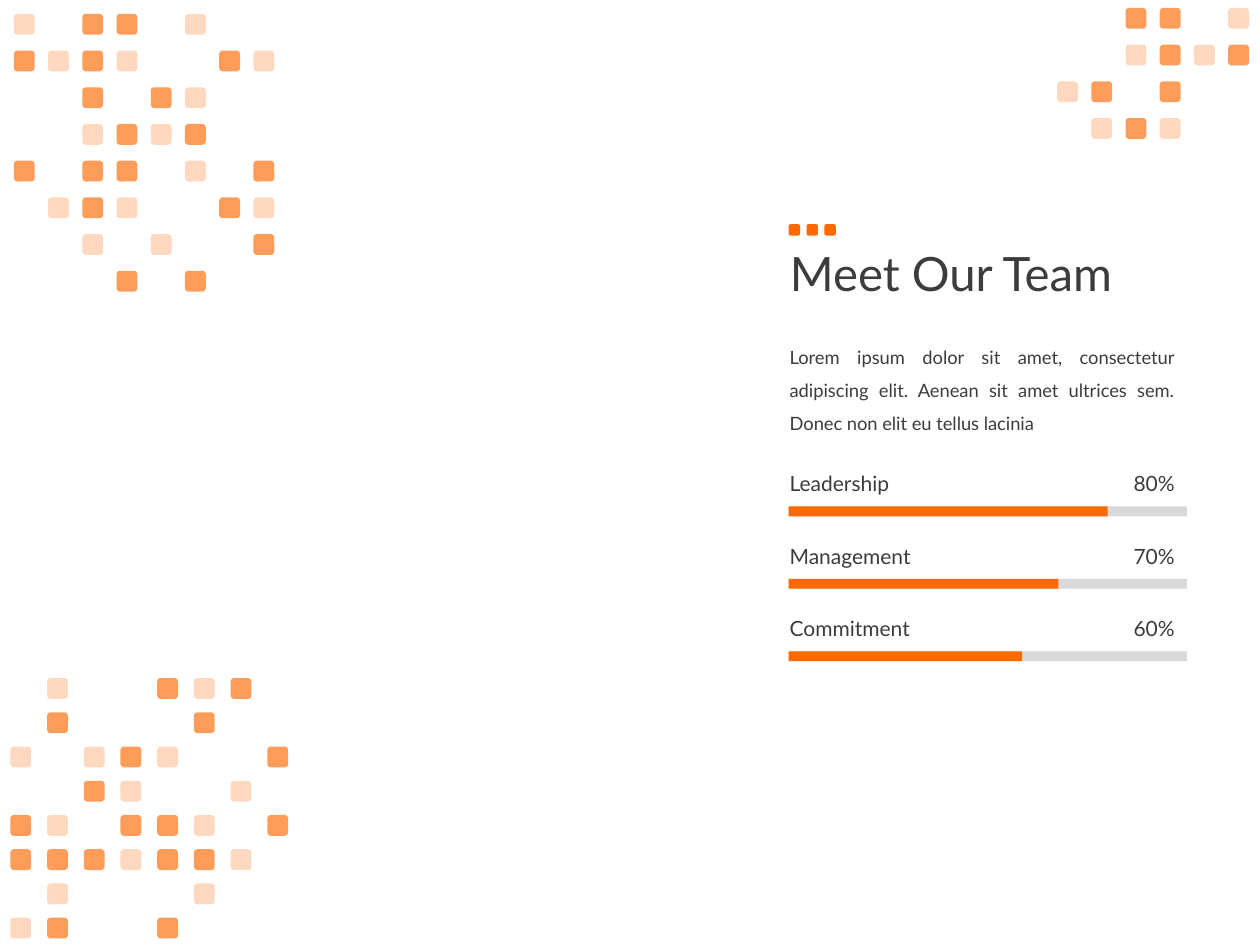
from lxml import etree
from pptx import Presentation
from pptx.dml.color import RGBColor
from pptx.enum.shapes import MSO_SHAPE as Shape
from pptx.enum.text import MSO_ANCHOR as Anchor, PP_ALIGN as Align
from pptx.oxml.ns import qn
from pptx.util import Cm, Pt

COLORS = {"accent": "FE6902", "track": "D9D9D9", "text": "3C3C3C", "page": "FFFFFF"}
FONT = "Lato"
OPACITY = {"#": 65, "o": 25}

TOP_LEFT = [
    "o.##.o..",
    "#o#o..#o",
    "..#.#o..",
    "..o#o#..",
    "#.##.o.#",
    ".o#o..#o",
    "..o.o..#",
    "...#.#..",
]
BOTTOM_LEFT = [
    ".o..#o#.",
    ".#...#..",
    "o.o#o..#",
    "..#o..o.",
    "#o.##o.#",
    "###o##o.",
    ".o...o..",
    "o#..#...",
]
TOP_RIGHT = [
    "..##.o",
    "..o#o#",
    "o#.#..",
    ".o#o..",
]
SKILLS = [("Leadership", "80%", 6.43), ("Management", "70%", 5.44), ("Commitment", "60%", 4.7)]


def add_block(shapes, kind, left, top, width, height, color, opacity=100):
    """Add a flat filled shape, measured in centimetres."""
    block = shapes.add_shape(kind, Cm(left), Cm(top), Cm(width), Cm(height))
    block.shadow.inherit = False
    block.line.fill.background()
    block.fill.solid()
    block.fill.fore_color.rgb = RGBColor.from_string(COLORS[color])
    if opacity < 100:
        tint = block.fill._xPr.find(f".//{qn('a:srgbClr')}")
        etree.SubElement(tint, qn("a:alpha"), val=str(opacity * 1000))
    return block


def write_text(box, text, size, align=Align.LEFT, anchor=Anchor.MIDDLE, spacing=1.0):
    """Fill a box with one formatted paragraph."""
    frame = box.text_frame
    frame.word_wrap = True
    frame.vertical_anchor = anchor
    para = frame.paragraphs[0]
    para.alignment = align
    para.line_spacing = spacing
    span = para.add_run()
    span.text = text
    span.font.size = Pt(size)
    span.font.name = FONT
    span.font.color.rgb = RGBColor.from_string(COLORS["text"])


def add_text(page, left, top, width, height, text, size, **layout):
    """Add a text box, measured in centimetres."""
    box = page.shapes.add_textbox(Cm(left), Cm(top), Cm(width), Cm(height))
    write_text(box, text, size, **layout)


def add_mosaic(page, left, top, pattern, column_step, row_step, size=0.42):
    """Group rounded tiles on a grid read from pattern rows."""
    tiles = page.shapes.add_group_shape().shapes
    for row, marks in enumerate(pattern):
        for column, mark in enumerate(marks):
            if mark in OPACITY:
                add_block(tiles, Shape.ROUNDED_RECTANGLE, left + column * column_step,
                          top + row * row_step, size, size, "accent", OPACITY[mark])


def add_heading(page, left, top, width):
    """Place the title, its three dots and the introduction."""
    title = page.shapes.title
    title.left, title.top, title.width, title.height = Cm(left), Cm(top), Cm(width), Cm(3.68)
    write_text(title, "Meet Our Team", 27, spacing=0.9)
    add_text(page, left, top + 2.9, 8.26, 2.18,
             "Lorem ipsum dolor sit amet, consectetur adipiscing elit. "
             "Aenean sit amet ultrices sem. Donec non elit eu tellus lacinia",
             10.5, align=Align.JUSTIFY, anchor=Anchor.TOP, spacing=1.5)
    dots = page.shapes.add_group_shape().shapes
    for index in range(3):
        add_block(dots, Shape.ROUNDED_RECTANGLE, left + 0.23 + index * 0.36, top + 0.79,
                  0.23, 0.23, "accent")


def add_skill(page, left, top, name, share, filled):
    """Place a skill name, its percentage and a progress bar."""
    add_text(page, left, top, 3.94, 0.76, name, 12)
    add_text(page, left + 6.25, top, 2.01, 0.76, share, 12, align=Align.RIGHT)
    for length, color in ((8.03, "track"), (filled, "accent")):
        add_block(page.shapes, Shape.RECTANGLE, left + 0.23, top + 0.84, length, 0.2, color)


def main():
    """Build and save the team slide."""
    deck = Presentation()
    deck.slide_width, deck.slide_height = Cm(25.4), Cm(19.05)
    page = deck.slides.add_slide(deck.slide_layouts[5])
    page.background.fill.solid()
    page.background.fill.fore_color.rgb = RGBColor.from_string(COLORS["page"])
    add_mosaic(page, 0.28, 0.28, TOP_LEFT, column_step=0.69, row_step=0.74)
    add_mosaic(page, 0.21, 13.67, BOTTOM_LEFT, column_step=0.74, row_step=0.69)
    add_mosaic(page, 21.31, 0.16, TOP_RIGHT, column_step=0.69, row_step=0.74)
    add_heading(page, 15.67, 3.73, 9.4)
    for index, skill in enumerate(SKILLS):
        add_skill(page, 15.67, 9.37 + index * 1.46, *skill)
    deck.save("out.pptx")


if __name__ == "__main__":
    main()
